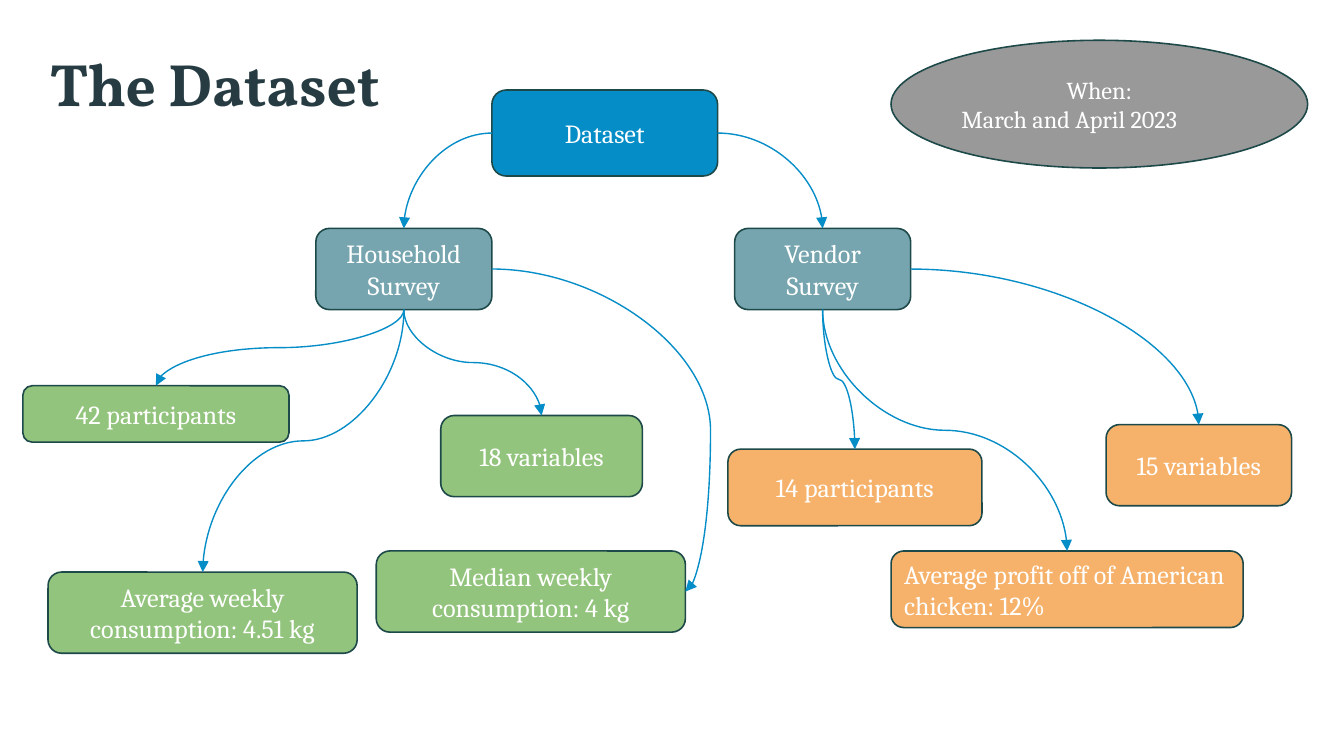
from lxml.etree import SubElement
from pptx import Presentation
from pptx.dml.color import RGBColor
from pptx.enum.shapes import MSO_CONNECTOR, MSO_SHAPE
from pptx.enum.text import MSO_ANCHOR, MSO_AUTO_SIZE, PP_ALIGN
from pptx.oxml.ns import qn
from pptx.util import Inches, Pt

COLUMNS = 100
WIDTH = Inches(10)
HEIGHT = WIDTH * 9 // 16
GRID = WIDTH // COLUMNS
TOP, LEFT, BOTTOM, RIGHT = range(4)
COLORS = {
    "root": "058DC7", "survey": "76A5AF", "household": "93C47D",
    "vendor": "F6B26B", "date": "999999", "outline": "1D4949",
    "arrow": "058DC7", "title": "273C42", "text": "FFFFFF",
}
NODES = {
    "dataset": ("Dataset", "root", 36.6, 6.7, 16.8, 6.4),
    "household": ("Household Survey", "survey", 23.5, 17, 13.1, 6.04),
    "vendor": ("Vendor Survey", "survey", 54.66, 17, 13.1, 6.04),
    "buyers": ("42 participants", "household", 1.7, 28.7, 19.8, 4.2),
    "sellers": ("14 participants", "vendor", 54.16, 33.42, 18.9, 5.7),
    "buyer variables": ("18 variables", "household", 32.8, 30.92, 15, 6.04),
    "seller variables": ("15 variables", "vendor", 82.3, 31.6, 13.8, 6.04),
    "average": ("Average weekly consumption: 4.51 kg", "household", 3.58, 42.57, 23, 6.04),
    "median": ("Median weekly consumption: 4 kg", "household", 28, 41, 23, 6.04),
    "profit": ("Average profit off of American chicken: 12%", "vendor", 66.3, 41, 26.2, 5.7),
}
LINKS = [
    ("dataset", LEFT, "household", TOP),
    ("dataset", RIGHT, "vendor", TOP),
    ("household", BOTTOM, "buyers", TOP),
    ("household", BOTTOM, "buyer variables", TOP),
    ("household", BOTTOM, "average", TOP),
    ("household", RIGHT, "median", RIGHT),
    ("vendor", BOTTOM, "sellers", TOP),
    ("vendor", RIGHT, "seller variables", TOP),
    ("vendor", BOTTOM, "profit", TOP),
]


def color(name):
    """Return a named colour."""
    return RGBColor.from_string(COLORS[name])


def cells(*values):
    """Turn grid units into lengths."""
    return [round(value * GRID) for value in values]


def write(shape, lines, size=14, font="Cambria", fill="text", bold=False,
          aligns=(PP_ALIGN.CENTER,), anchor=MSO_ANCHOR.MIDDLE, insets=(0.07, 0.04)):
    """Write one paragraph per line into a shape."""
    frame = shape.text_frame
    frame.word_wrap = True
    frame.auto_size = MSO_AUTO_SIZE.NONE
    frame.vertical_anchor = anchor
    frame.margin_left = frame.margin_right = Inches(insets[0])
    frame.margin_top = frame.margin_bottom = Inches(insets[1])
    frame.text = "\n".join(lines)
    for paragraph, align in zip(frame.paragraphs, aligns):
        paragraph.alignment = align
        for run in paragraph.runs:
            run.font.size = Pt(size)
            run.font.name = font
            run.font.bold = bold
            run.font.color.rgb = color(fill)


def add_node(slide, kind, fill, box, lines, **text_format):
    """Add a filled, outlined shape with text."""
    shape = slide.shapes.add_shape(kind, *cells(*box))
    shape.shadow.inherit = False
    shape.fill.solid()
    shape.fill.fore_color.rgb = color(fill)
    shape.line.color.rgb = color("outline")
    shape.line.width = Pt(0.85)
    write(shape, lines, **text_format)
    return shape


def site(shape, side):
    """Return the middle of one side of a shape."""
    across = {LEFT: 0, RIGHT: shape.width}.get(side, shape.width // 2)
    down = {TOP: 0, BOTTOM: shape.height}.get(side, shape.height // 2)
    return shape.left + across, shape.top + down


def add_curve(slide, start, start_side, end, end_side):
    """Join two shapes with a curved arrow."""
    x1, y1 = site(start, start_side)
    x2, y2 = site(end, end_side)
    curve = slide.shapes.add_connector(MSO_CONNECTOR.CURVE, x1, y1, x2, y2)
    curve.begin_connect(start, start_side)
    curve.end_connect(end, end_side)
    width, height = abs(x2 - x1), abs(y2 - y1)
    middle_x, middle_y = (x1 + x2) // 2, (y1 + y2) // 2
    vertical = start_side == BOTTOM
    rotation = (90 if x2 < x1 else 270) if vertical else 0
    if vertical:
        width, height = height, width
    curve.left, curve.top = middle_x - width // 2, middle_y - height // 2
    curve.width, curve.height = width, height

    properties = curve.element.spPr
    frame = properties.find(qn("a:xfrm"))
    frame.set("rot", str(rotation * 60000))
    frame.set("flipH", str(int((x2 > x1) if vertical else (x2 < x1))))
    frame.set("flipV", "0")
    geometry = properties.find(qn("a:prstGeom"))
    if not vertical and end_side == TOP:
        geometry.set("prst", "curvedConnector2")
    else:
        bend = 113000 if start_side == end_side else 50000
        SubElement(geometry.find(qn("a:avLst")), qn("a:gd"), name="adj1", fmla=f"val {bend}")
    curve.line.color.rgb = color("arrow")
    curve.line.width = Pt(0.75)
    SubElement(properties.find(qn("a:ln")), qn("a:tailEnd"), type="triangle")
    SubElement(properties, qn("a:effectLst"))


def add_title(slide, text):
    """Place and format the title placeholder."""
    title = slide.shapes.title
    title.left, title.top, title.width, title.height = cells(2.7, 2.5, 28, 6.4)
    write(title, [text], size=32, font="Vollkorn", fill="title", bold=True,
          aligns=[PP_ALIGN.LEFT], anchor=MSO_ANCHOR.TOP, insets=(0.1, 0.1))


def main():
    """Build the dataset overview slide."""
    presentation = Presentation()
    presentation.slide_width, presentation.slide_height = WIDTH, HEIGHT
    slide = presentation.slides.add_slide(presentation.slide_layouts[5])
    add_title(slide, "The Dataset")
    nodes = {}
    for name, (text, fill, *box) in NODES.items():
        align = PP_ALIGN.LEFT if name == "profit" else PP_ALIGN.CENTER
        nodes[name] = add_node(slide, MSO_SHAPE.ROUNDED_RECTANGLE, fill, box,
                               [text], aligns=[align])
    add_node(slide, MSO_SHAPE.OVAL, "date", (66.3, 3, 31, 9.5),
             ["When:", "March and April 2023"], size=13,
             aligns=[PP_ALIGN.CENTER, PP_ALIGN.LEFT])
    for start, start_side, end, end_side in LINKS:
        add_curve(slide, nodes[start], start_side, nodes[end], end_side)
    presentation.save("out.pptx")


if __name__ == "__main__":
    main()
